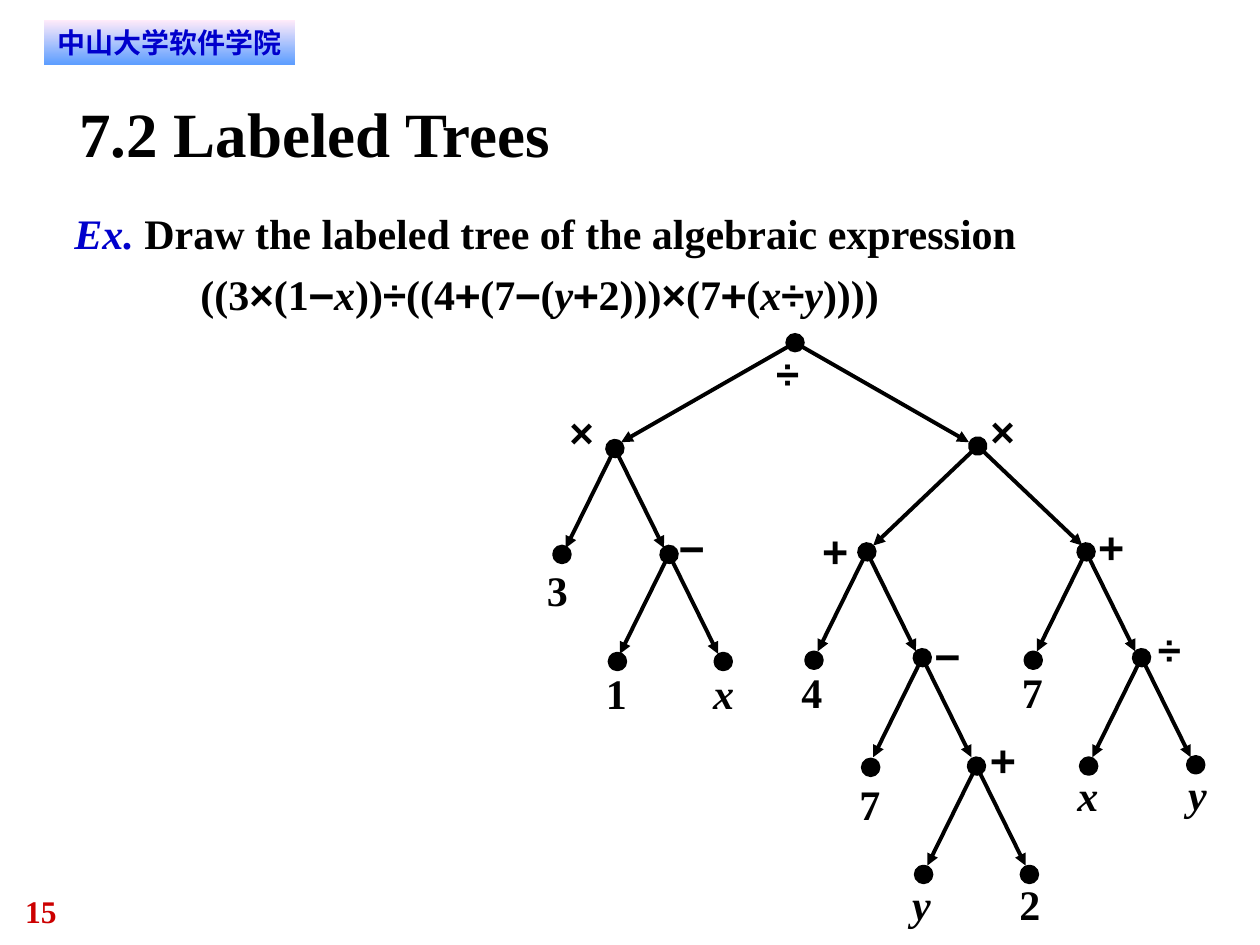
from lxml import etree
from pptx import Presentation
from pptx.dml.color import RGBColor
from pptx.enum.shapes import MSO_CONNECTOR, MSO_SHAPE
from pptx.enum.text import MSO_ANCHOR, MSO_AUTO_SIZE, PP_ALIGN
from pptx.oxml.ns import qn
from pptx.util import Inches, Pt

STRAIGHT = MSO_CONNECTOR.STRAIGHT
RECTANGLE = MSO_SHAPE.RECTANGLE
OVAL = MSO_SHAPE.OVAL
TOP = MSO_ANCHOR.TOP
NO_RESIZE = MSO_AUTO_SIZE.NONE
LEFT = PP_ALIGN.LEFT
CENTER = PP_ALIGN.CENTER

COLORS = {
    "ink": "000000",
    "accent": "0000CC",
    "number": "CC0000",
    "banner_top": "FFEBFA",
    "banner_bottom": "5E9EFF",
}
SERIF = "Times New Roman"
SANS = "DejaVu Sans"
SYMBOL_FONTS = {
    "×": "Arial",
    "÷": "Arial",
    "+": "DejaVu Sans Mono",
    "−": "DejaVu Sans Mono",
}
VARIABLES = "xy"
EXPRESSION = ["((3", "×", "(1", "−", "x", "))", "÷", "((4", "+", "(7", "−", "(",
              "y", "+", "2)))", "×", "(7", "+", "(", "x", "÷", "y", "))))"]

DOT = 0.12
DROP = 0.79
# symbol, centre x, centre y, label left, label top, half spread of the children
OPERATORS = [
    ("÷", 6.31, 2.72, 6.16, 2.76, 1.38),
    ("×", 4.88, 3.56, 4.52, 3.23, 0.39),
    ("×", 7.76, 3.54, 7.86, 3.22, 0.83),
    ("−", 5.31, 4.40, 5.39, 4.14, 0.39),
    ("+", 6.88, 4.38, 6.53, 4.16, 0.39),
    ("+", 8.62, 4.38, 8.72, 4.13, 0.39),
    ("−", 7.32, 5.22, 7.42, 5.00, 0.39),
    ("÷", 9.06, 5.22, 9.19, 4.95, 0.39),
    ("+", 7.75, 6.08, 7.86, 5.82, 0.39),
]
# symbol, dot left, dot top, label left, label top
LEAVES = [
    ("3", 4.40, 4.34, 4.34, 4.48),
    ("1", 4.84, 5.19, 4.81, 5.30),
    ("x", 5.68, 5.19, 5.66, 5.30),
    ("4", 6.40, 5.18, 6.36, 5.29),
    ("7", 6.85, 6.03, 6.82, 6.18),
    ("y", 7.27, 6.88, 7.24, 6.97),
    ("2", 8.11, 6.88, 8.09, 6.97),
    ("7", 8.14, 5.18, 8.11, 5.29),
    ("x", 8.58, 6.02, 8.55, 6.11),
    ("y", 9.43, 6.01, 9.43, 6.10),
]


def color(name):
    return RGBColor.from_string(COLORS[name])


def add_span(para, text, size=24, font=SERIF, ink="ink", italic=False):
    span = para.add_run()
    span.text = text
    span.font.size = Pt(size)
    span.font.bold = True
    span.font.italic = italic
    span.font.color.rgb = color(ink)
    span.font.name = font
    properties = span.font._element
    etree.SubElement(properties, qn("a:ea")).set("typeface", font)


def add_symbol(para, text):
    add_span(para, text, font=SYMBOL_FONTS.get(text, SERIF), italic=text in VARIABLES)


def prepare_frame(box, wrap=True):
    frame = box.text_frame
    frame.margin_left = frame.margin_right = 0
    frame.margin_top = frame.margin_bottom = 0
    frame.vertical_anchor = TOP
    frame.auto_size = NO_RESIZE
    frame.word_wrap = wrap
    return frame


def place(box, left, top, width, height):
    box.left, box.top = Inches(left), Inches(top)
    box.width, box.height = Inches(width), Inches(height)


def add_text_box(page, left, top, width, height, wrap=True):
    box = page.shapes.add_textbox(Inches(left), Inches(top), Inches(width), Inches(height))
    return prepare_frame(box, wrap).paragraphs[0]


def add_banner(page):
    box = page.shapes.add_shape(RECTANGLE, Inches(0.35), Inches(0.16), Inches(1.99), Inches(0.35))
    box.shadow.inherit = False
    box.line.fill.background()
    box.fill.gradient()
    box.fill.gradient_angle = 270
    for stop, name in zip(box.fill.gradient_stops, ("banner_top", "banner_bottom")):
        stop.color.rgb = color(name)
    frame = prepare_frame(box, wrap=False)
    frame.margin_top = Inches(0.04)
    frame.margin_left = frame.margin_right = Inches(0.08)
    para = frame.paragraphs[0]
    para.alignment = CENTER
    add_span(para, "中山大学软件学院", 16, SANS, "accent")


def fill_title(page):
    title = page.shapes.title
    place(title, 0.63, 0.75, 8.75, 0.6)
    para = prepare_frame(title).paragraphs[0]
    para.alignment = LEFT
    add_span(para, "7.2 Labeled Trees", 36)


def format_body_paragraph(para):
    para.line_spacing = 1.2
    para.space_before = Pt(0)
    properties = para._p.get_or_add_pPr()
    properties.set("marL", "0")
    properties.set("indent", "0")
    etree.SubElement(properties, qn("a:buNone"))
    tabs = etree.SubElement(properties, qn("a:tabLst"))
    for inch in (1, 2):
        etree.SubElement(tabs, qn("a:tab"), pos=str(Inches(inch)), algn="l")


def fill_body(page):
    body = page.placeholders[1]
    place(body, 0.59, 1.57, 8.84, 0.96)
    frame = prepare_frame(body)
    task = frame.paragraphs[0]
    formula = frame.add_paragraph()
    for para in (task, formula):
        format_body_paragraph(para)
    add_span(task, "Ex.", ink="accent", italic=True)
    add_span(task, " Draw the labeled tree of the algebraic expression")
    add_span(formula, "\t\t")
    for part in EXPRESSION:
        add_symbol(formula, part)


def add_label(page, symbol, left, top):
    add_symbol(add_text_box(page, left, top, 0.27, 0.4, wrap=False), symbol)


def add_leaf(page, symbol, left, top, label_left, label_top):
    dot = page.shapes.add_shape(OVAL, Inches(left), Inches(top), Inches(DOT), Inches(DOT))
    dot.shadow.inherit = False
    dot.fill.solid()
    dot.fill.fore_color.rgb = color("ink")
    dot.line.color.rgb = color("ink")
    dot.line.width = Pt(2.5)
    add_label(page, symbol, label_left, label_top)


def add_branch(page, x, y, reach, with_dot):
    branch = page.shapes.add_connector(
        STRAIGHT, Inches(x), Inches(y), Inches(x + reach), Inches(y + DROP))
    branch.line.color.rgb = color("ink")
    branch.line.width = Pt(2.25)
    line = branch.line._get_or_add_ln()
    if with_dot:
        etree.SubElement(line, qn("a:headEnd"), type="oval", w="lg", len="lg")
    etree.SubElement(line, qn("a:tailEnd"), type="triangle")
    etree.SubElement(branch._element.spPr, qn("a:effectLst"))


def add_operator(page, symbol, x, y, label_left, label_top, spread):
    add_label(page, symbol, label_left, label_top)
    add_branch(page, x, y, -spread, True)
    add_branch(page, x, y, spread, False)


def main():
    deck = Presentation()
    deck.slide_width, deck.slide_height = Inches(10), Inches(7.5)
    page = deck.slides.add_slide(deck.slide_layouts[1])
    add_span(add_text_box(page, 0.2, 7.08, 0.75, 0.3), "15", 18, ink="number")
    add_banner(page)
    fill_title(page)
    fill_body(page)
    for leaf in LEAVES:
        add_leaf(page, *leaf)
    for operator in OPERATORS:
        add_operator(page, *operator)
    deck.save("out.pptx")


if __name__ == "__main__":
    main()
